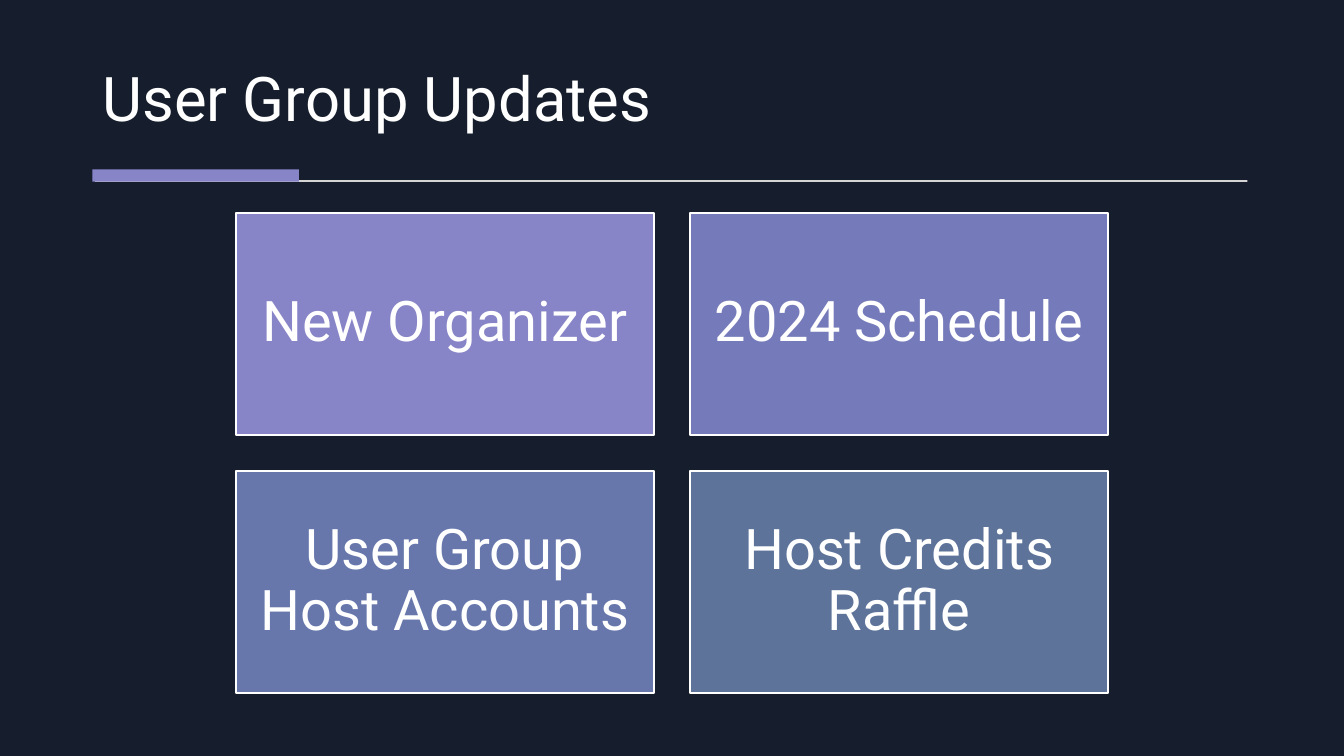
from pptx import Presentation
from pptx import util as u
from pptx.dml import color
from pptx.enum import shapes, text

NAVY = color.RGBColor(0x16, 0x1E, 0x2D)
WHITE = color.RGBColor(0xFF, 0xFF, 0xFF)
GREY = color.RGBColor(0xD5, 0xD5, 0xD5)
LILAC = color.RGBColor(0x87, 0x84, 0xC7)
VIOLET = color.RGBColor(0x75, 0x7B, 0xBA)
BLUE = color.RGBColor(0x67, 0x77, 0xAC)
STEEL = color.RGBColor(0x5D, 0x73, 0x9A)


def add_block(left, top, width, height, fill):
    block = slide.shapes.add_shape(
        shapes.MSO_SHAPE.RECTANGLE, u.Pt(left), u.Pt(top), u.Pt(width), u.Pt(height))
    block.shadow.inherit = False
    block.fill.solid()
    block.fill.fore_color.rgb = fill
    block.line.fill.background()
    return block


def write(frame, words, size, align, anchor):
    frame.text = words
    frame.word_wrap = True
    frame.auto_size = text.MSO_AUTO_SIZE.NONE
    frame.vertical_anchor = anchor
    paragraph = frame.paragraphs[0]
    paragraph.alignment = align
    paragraph.line_spacing = 0.9
    font = paragraph.runs[0].font
    font.name = "Roboto"
    font.size = u.Pt(size)
    font.color.rgb = WHITE


deck = Presentation()
deck.slide_width, deck.slide_height = u.Pt(960), u.Pt(540)
slide = deck.slides.add_slide(deck.slide_layouts[5])
slide.background.fill.solid()
slide.background.fill.fore_color.rgb = NAVY

heading = slide.shapes.title
heading.left, heading.top = u.Pt(66), u.Pt(20)
heading.width, heading.height = u.Pt(827), u.Pt(80)
write(heading.text_frame, "User Group Updates", 44,
      text.PP_ALIGN.LEFT, text.MSO_ANCHOR.BOTTOM)

add_block(68, 128.6, 823, 1.3, GREY)
add_block(66, 121, 147.6, 8.8, LILAC)

updates = [
    ("New Organizer", LILAC),
    ("2024 Schedule", VIOLET),
    ("User Group Host Accounts", BLUE),
    ("Host Credits Raffle", STEEL),
]
card_width, card_height, gap = 298.5, 158.5, 26
first_left, first_top = (960 - 2 * card_width - gap) / 2, 152
for index, (update, fill) in enumerate(updates):
    row, column = divmod(index, 2)
    card = add_block(first_left + column * (card_width + gap),
                     first_top + row * (card_height + gap),
                     card_width, card_height, fill)
    card.line.color.rgb = WHITE
    card.line.width = u.Pt(1.5)
    frame = card.text_frame
    frame.margin_left = frame.margin_right = u.Pt(12)
    frame.margin_top = frame.margin_bottom = u.Pt(12)
    write(frame, update, 40, text.PP_ALIGN.CENTER, text.MSO_ANCHOR.MIDDLE)

deck.save("out.pptx")
